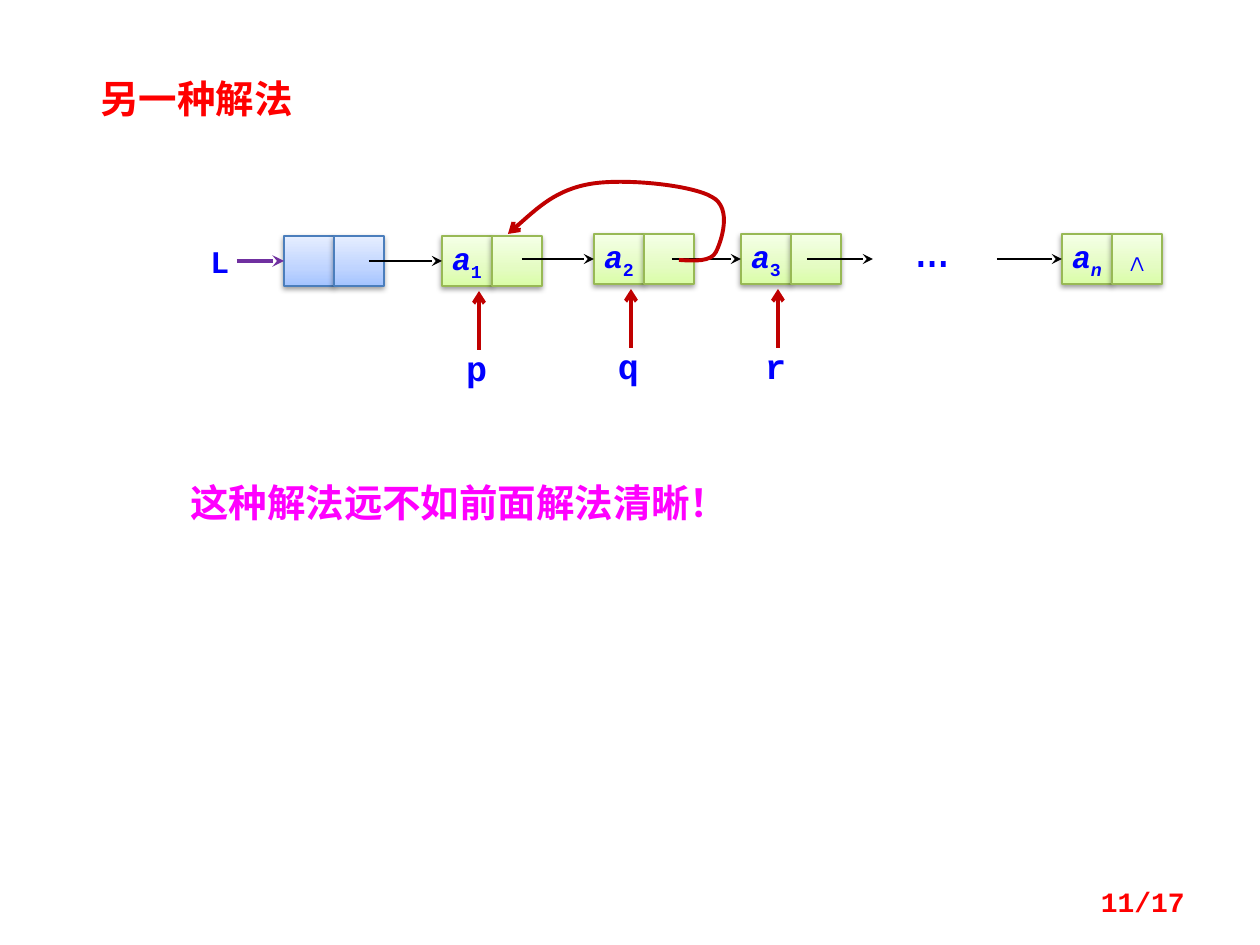
from copy import deepcopy

from lxml import etree
from pptx import Presentation
from pptx.dml.color import RGBColor
from pptx.enum.shapes import MSO_CONNECTOR, MSO_SHAPE
from pptx.enum.text import MSO_ANCHOR, MSO_AUTO_SIZE, PP_ALIGN
from pptx.oxml.ns import qn
from pptx.util import Emu, Pt

RECTANGLE = MSO_SHAPE.RECTANGLE
STRAIGHT = MSO_CONNECTOR.STRAIGHT
LEFT, CENTER, RIGHT = PP_ALIGN.LEFT, PP_ALIGN.CENTER, PP_ALIGN.RIGHT
TOP, MIDDLE = MSO_ANCHOR.TOP, MSO_ANCHOR.MIDDLE
NO_AUTO_SIZE = MSO_AUTO_SIZE.NONE

SCALE = 914400 / 126
FONT = "Courier New"
BLUE, RED, MAGENTA = "0000FF", "FF0000", "FF00FF"
BLACK, DARK_RED, PURPLE = "000000", "C00000", "7030A0"
HEAD_STYLE = (("A4C4FF", "BFD4FF", "E6EEFF"), "4B7EBC")
NODE_STYLE = (("DAFDA7", "E4FCC2", "F5FFE7"), "98B955")
STOP_POSITIONS = (0, 0.35, 1)
CELL = 50
LEFT_SIDE = 1


def px(length):
    return Emu(round(length * SCALE))


def color(value):
    return RGBColor.from_string(value)


def format_paragraph(paragraph, size, ink, bold, alignment):
    paragraph.alignment = alignment
    paragraph.font.name = FONT
    paragraph.font.size = Pt(size)
    paragraph.font.bold = bold
    paragraph.font.color.rgb = color(ink)


def add_label(slide, box, text, size, ink, bold=True, alignment=LEFT, wrap=False, anchor=TOP):
    label = slide.shapes.add_textbox(*map(px, box))
    frame = label.text_frame
    frame.word_wrap = wrap
    frame.vertical_anchor = anchor
    frame.text = text
    format_paragraph(frame.paragraphs[0], size, ink, bold, alignment)


def add_cell(slide, left, top, style):
    stops, outline = style
    cell = slide.shapes.add_shape(RECTANGLE, px(left), px(top), px(CELL), px(CELL))
    cell.fill.gradient()
    cell.fill.gradient_angle = 90
    properties = cell._element.spPr
    stop_list = properties.find(qn("a:gradFill")).find(qn("a:gsLst"))
    stop_list.append(deepcopy(stop_list[0]))
    for stop, position, value in zip(cell.fill.gradient_stops, STOP_POSITIONS, stops):
        stop.position = position
        stop.color.rgb = color(value)
    cell.line.color.rgb = color(outline)
    cell.line.width = Pt(0.75)
    cell.shadow.inherit = False
    shadow = etree.SubElement(
        properties.find(qn("a:effectLst")), qn("a:outerShdw"),
        blurRad=str(Pt(3.1)), dist=str(Pt(1.6)), dir="5400000", rotWithShape="0")
    shade = etree.SubElement(shadow, qn("a:srgbClr"), val=BLACK)
    etree.SubElement(shade, qn("a:alpha"), val="38000")
    return cell


def prepare_cell_text(cell):
    frame = cell.text_frame
    frame.word_wrap = False
    frame.vertical_anchor = MIDDLE
    paragraph = frame.paragraphs[0]
    format_paragraph(paragraph, 18, BLUE, True, CENTER)
    return paragraph


def add_node(slide, left, top, style, subscript=None, mark=None):
    data_cell = add_cell(slide, left, top, style)
    link_cell = add_cell(slide, left + CELL, top, style)
    if subscript:
        paragraph = prepare_cell_text(data_cell)
        letter, index = paragraph.add_run(), paragraph.add_run()
        letter.text, index.text = "a", subscript
        letter.font.italic = True
        index.font.italic = not subscript.isdigit()
        index._r.get_or_add_rPr().set("baseline", "-25000")
    if mark:
        prepare_cell_text(link_cell).add_run().text = mark
    return data_cell


def style_arrow(arrow, ink, width, head):
    arrow.line.color.rgb = color(ink)
    arrow.line.width = Pt(width)
    properties = arrow._element.spPr
    etree.SubElement(properties.find(qn("a:ln")), qn("a:tailEnd"), type=head)
    etree.SubElement(properties, qn("a:effectLst"))


def add_arrow(slide, start, end, ink=BLACK, width=0.75, head="stealth", target=None):
    arrow = slide.shapes.add_connector(STRAIGHT, *map(px, start + end))
    if target is not None:
        arrow.end_connect(target, LEFT_SIDE)
    style_arrow(arrow, ink, width, head)


def add_back_link(slide, points):
    builder = slide.shapes.build_freeform(*points[0], scale=SCALE)
    builder.add_line_segments(points[1:], close=False)
    curve = builder.convert_to_shape()
    curve.fill.background()
    style_arrow(curve, DARK_RED, 2.25, "arrow")
    path = next(curve._element.iter(qn("a:path")))
    segments = path.findall(qn("a:lnTo"))
    for first in range(0, len(segments), 3):
        bezier = etree.SubElement(path, qn("a:cubicBezTo"))
        for segment in segments[first:first + 3]:
            bezier.append(segment[0])
            path.remove(segment)


def add_pointer(slide, node_left, node_top, name):
    tip = node_left + 37
    add_label(slide, (node_left, node_top + 104, 69, 55), name, 20, BLUE, alignment=CENTER)
    add_arrow(slide, (tip, node_top + 114), (tip, node_top + 55), DARK_RED, 2.25, "arrow")


def add_linked_list(slide, left, top):
    add_label(slide, (left, top + 58, 37, 50), "L", 18, BLUE)
    head = add_node(slide, left + 86, top + 58, HEAD_STYLE)
    add_arrow(slide, (left + 39, top + 83), (left + 86, top + 83), PURPLE, 2.25, target=head)

    nodes = (
        (244, 58, "1", None, "p", 171),
        (396, 56, "2", None, "q", 324),
        (543, 56, "3", None, "r", 474),
        (864, 56, "n", "∧", None, 799),
    )
    for x, y, subscript, mark, pointer, link_start in nodes:
        node_left, node_top = left + x, top + y
        middle = node_top + CELL // 2
        node = add_node(slide, node_left, node_top, NODE_STYLE, subscript, mark)
        add_arrow(slide, (left + link_start, middle), (node_left, middle), target=node)
        if pointer:
            add_pointer(slide, node_left, node_top, pointer)

    add_arrow(slide, (left + 609, top + 81), (left + 675, top + 81))
    add_label(slide, (left + 705, top + 27, 100, 79), "…", 32, BLUE, bold=False)
    curve = (
        (481, 82),
        (496, 83), (513, 84), (518, 74),
        (523, 64), (535, 30), (514, 19),
        (494, 7), (426, 0), (392, 6),
        (358, 12), (334, 35), (310, 56),
    )
    add_back_link(slide, [(left + x, top + y) for x, y in curve])


def add_title(slide, box, text):
    title = slide.shapes.title
    title.left, title.top, title.width, title.height = map(px, box)
    frame = title.text_frame
    frame.text = text
    frame.auto_size = NO_AUTO_SIZE
    frame.vertical_anchor = TOP
    format_paragraph(frame.paragraphs[0], 22, RED, True, LEFT)


def main():
    presentation = Presentation()
    presentation.slide_width = px(1260)
    presentation.slide_height = px(945)
    slide = presentation.slides.add_slide(presentation.slide_layouts[5])
    add_title(slide, (88, 69, 295, 59), "另一种解法")
    add_linked_list(slide, 198, 178)
    add_label(slide, (178, 473, 679, 59), "这种解法远不如前面解法清晰！", 22, MAGENTA, wrap=True)
    add_label(slide, (903, 876, 294, 50), "11/17", 16, RED,
              alignment=RIGHT, wrap=True, anchor=MIDDLE)
    presentation.save("out.pptx")


if __name__ == "__main__":
    main()
